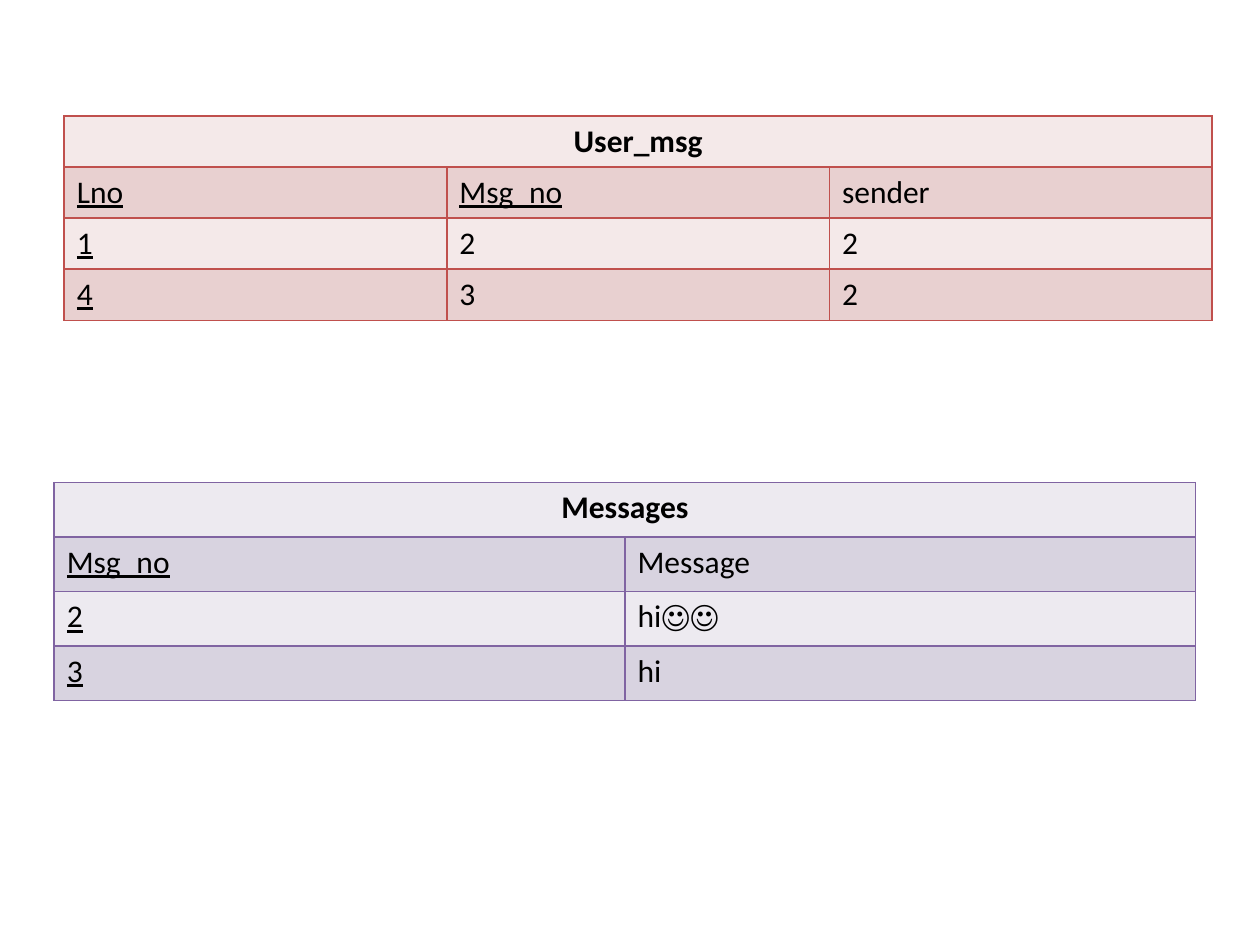
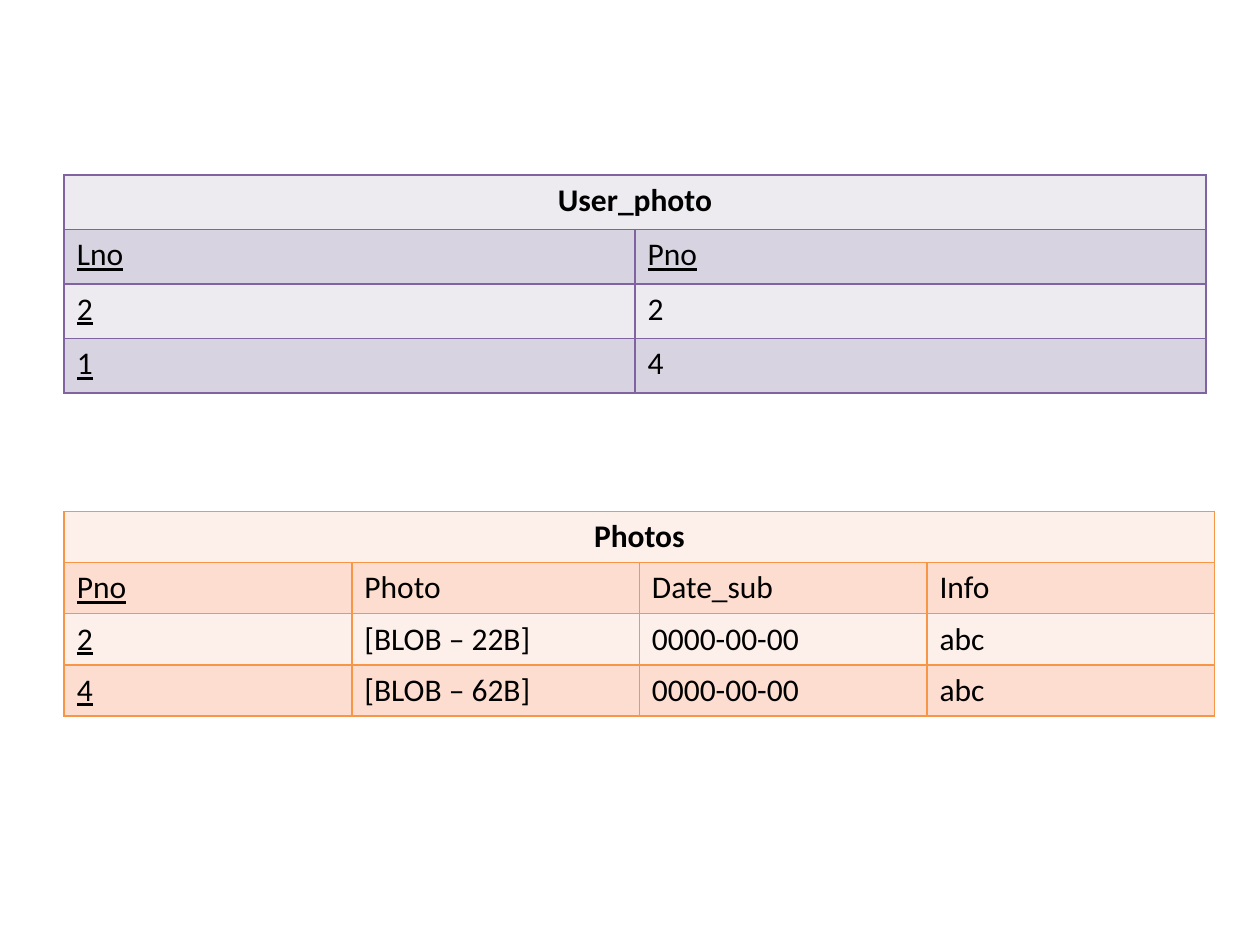
from dataclasses import dataclass

from lxml import etree
from pptx import Presentation
from pptx.dml.color import RGBColor
from pptx.enum.text import PP_ALIGN
from pptx.oxml.ns import qn
from pptx.util import Inches, Pt

CENTER, LEFT = PP_ALIGN.CENTER, PP_ALIGN.LEFT
BLANK_LAYOUT = 6


@dataclass(frozen=True)
class Palette:
    """Border colour and the two alternating row fills of a table."""
    border: str
    light: str
    dark: str


@dataclass(frozen=True)
class Theme:
    """Colours and type shared by all slides."""
    font: str = "Calibri"
    size: int = 18
    text: str = "000000"
    border_width: int = 1
    red: Palette = Palette("C0504D", "F4E9E9", "E8D0D0")
    purple: Palette = Palette("8064A2", "EDEAF0", "D8D3E0")
    orange: Palette = Palette("F79646", "FDEFE9", "FCDDCF")


THEME = Theme()


@dataclass(frozen=True)
class Relation:
    """A database table: its name, key fields, fields and records."""
    name: str
    keys: tuple
    fields: tuple
    records: tuple
    palette: Palette


USER_MSG = Relation("User_msg", ("Lno", "Msg_no"), ("Lno", "Msg_no", "sender"),
                    (("1", "2", "2"), ("4", "3", "2")), THEME.red)
MESSAGES = Relation("Messages", ("Msg_no",), ("Msg_no", "Message"),
                    (("2", "hi☺☺"), ("3", "hi")), THEME.purple)
USER_PHOTO = Relation("User_photo", ("Lno", "Pno"), ("Lno", "Pno"),
                      (("2", "2"), ("1", "4")), THEME.purple)
PHOTOS = Relation("Photos", ("Pno",), ("Pno", "Photo", "Date_sub", "Info"),
                  (("2", "[BLOB – 22B]", "0000-00-00", "abc"),
                   ("4", "[BLOB – 62B]", "0000-00-00", "abc")), THEME.orange)

# Boxes are left, top, width, height in percent of the slide.
SLIDES = (
    ((USER_MSG, (5.1, 12.27, 91.1, 21.6)), (MESSAGES, (4.3, 51.07, 90.6, 23.07))),
    ((USER_PHOTO, (5.1, 18.53, 90.6, 23.07)), (PHOTOS, (5.1, 54.13, 91.3, 21.6))),
)


def paint_cell(cell, border, fill):
    """Give a cell four equal borders and a solid fill."""
    properties = cell._tc.get_or_add_tcPr()
    for side in ("lnL", "lnR", "lnT", "lnB"):
        line = etree.SubElement(properties, qn(f"a:{side}"),
                                w=str(Pt(THEME.border_width)))
        solid = etree.SubElement(line, qn("a:solidFill"))
        etree.SubElement(solid, qn("a:srgbClr"), val=border)
    cell.fill.solid()
    cell.fill.fore_color.rgb = RGBColor.from_string(fill)


def write_cell(cell, text, align=LEFT, bold=False, underline=False):
    """Write one styled line of text into a cell."""
    paragraph = cell.text_frame.paragraphs[0]
    paragraph.text = text
    paragraph.alignment = align
    font = paragraph.font
    font.name, font.size = THEME.font, Pt(THEME.size)
    font.color.rgb = RGBColor.from_string(THEME.text)
    font.bold, font.underline = bold, underline


def add_relation(slide, relation, box):
    """Draw a relation in its box: merged name row, field row, records."""
    left, top, width, height = box
    lines = (relation.fields, *relation.records)
    row_count, column_count = len(lines) + 1, len(relation.fields)
    grid = slide.shapes.add_table(row_count, column_count,
                                  left, top, width, height).table
    grid.first_row = grid.horz_banding = False
    for column in grid.columns:
        column.width = width // column_count
    for row_index, row in enumerate(grid.rows):
        row.height = height // row_count
        fill = relation.palette.dark if row_index % 2 else relation.palette.light
        for cell in row.cells:
            paint_cell(cell, relation.palette.border, fill)

    grid.cell(0, 0).merge(grid.cell(0, column_count - 1))
    write_cell(grid.cell(0, 0), relation.name, align=CENTER, bold=True)
    for row_index, line in enumerate(lines, start=1):
        for column_index, value in enumerate(line):
            is_key = column_index == 0 or (row_index == 1 and value in relation.keys)
            write_cell(grid.cell(row_index, column_index), value, underline=is_key)


def build():
    """Build every slide and save the presentation."""
    deck = Presentation()
    deck.slide_width, deck.slide_height = Inches(10), Inches(7.5)
    extents = (deck.slide_width, deck.slide_height) * 2
    for relations in SLIDES:
        slide = deck.slides.add_slide(deck.slide_layouts[BLANK_LAYOUT])
        for relation, shares in relations:
            box = [round(extent * share / 100)
                   for extent, share in zip(extents, shares)]
            add_relation(slide, relation, box)
    deck.save("out.pptx")


build()
